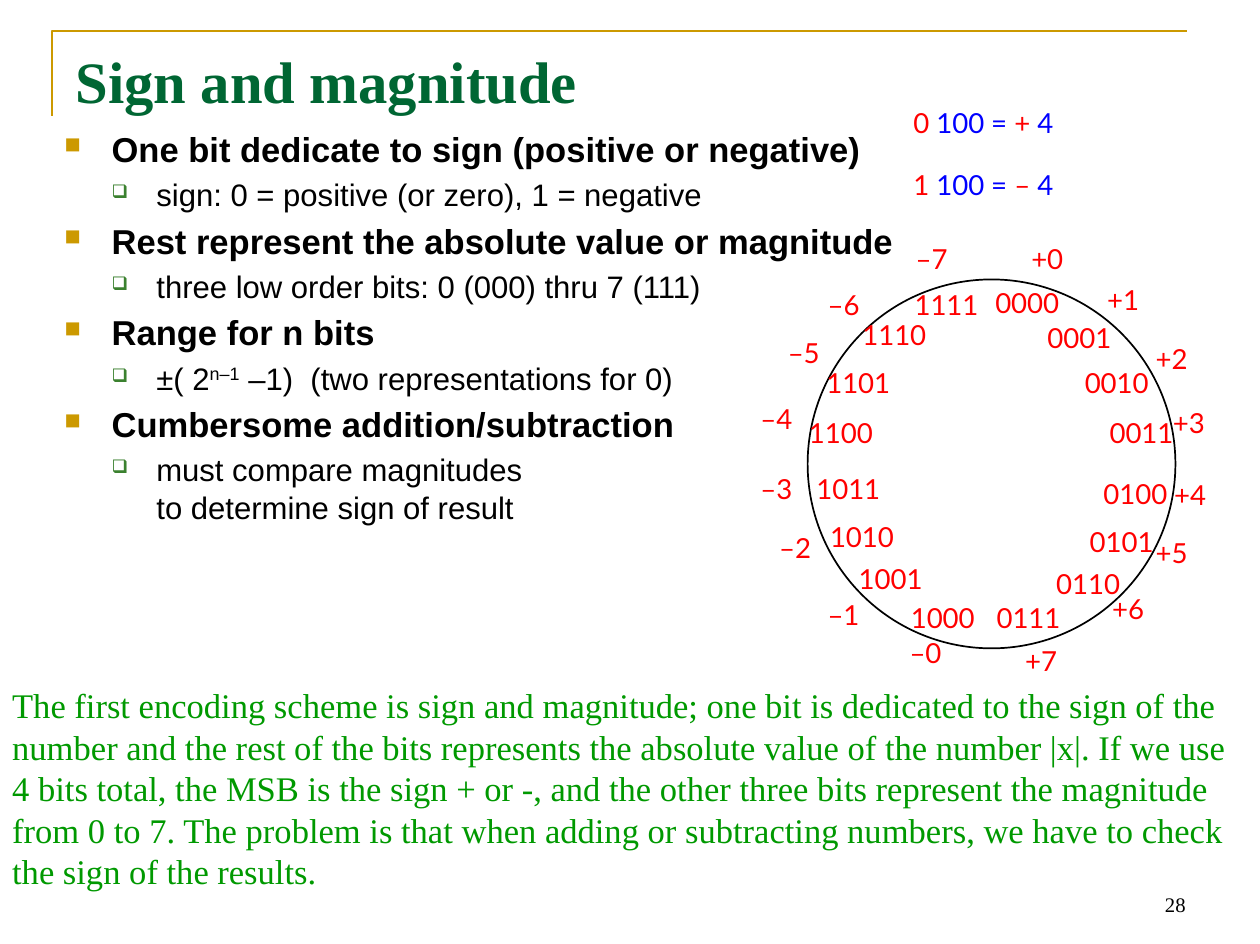
"""Builds the slide on sign and magnitude encoding of four-bit numbers."""
from lxml.etree import SubElement
from pptx import Presentation
from pptx.dml.color import RGBColor as RGB
from pptx.enum.shapes import MSO_SHAPE as SHAPE
from pptx.enum.text import MSO_ANCHOR as ANCHOR, PP_ALIGN as ALIGN
from pptx.oxml.ns import qn
from pptx.util import Pt

PX = 9144
COLORS = {"gold": "CC9900", "title": "006633", "leaf": "3B812F", "green": "009900",
          "red": "FF0000", "blue": "0000FF", "black": "000000", "white": "FFFFFF"}


def add_box(left, top, width, height, inset=(10, 5), wrap=True):
    box = slide.shapes.add_textbox(left * PX, top * PX, width * PX, height * PX)
    frame = box.text_frame
    frame.word_wrap = wrap
    frame.margin_left = frame.margin_right = inset[0] * PX
    frame.margin_top = frame.margin_bottom = inset[1] * PX
    return frame


def add_run(paragraph, text, size, face, color, bold=False):
    run = paragraph.add_run()
    run.text = text
    run.font.size = Pt(size)
    run.font.name = face
    run.font.bold = bold
    run.font.color.rgb = RGB.from_string(COLORS[color])
    return run


deck = Presentation()
deck.slide_width, deck.slide_height = 1014 * PX, 760 * PX
slide = deck.slides.add_slide(deck.slide_layouts[6])

corner = slide.shapes.build_freeform(42, 93, scale=PX)
corner.add_line_segments([(42, 25), (955, 25)], close=False)
corner_rule = corner.convert_to_shape()
corner_rule.shadow.inherit = False
corner_rule.fill.background()
corner_rule.line.color.rgb = RGB.from_string(COLORS["gold"])
corner_rule.line.width = Pt(1.5)

page_number = add_box(727, 692, 237, 51)
page_number.vertical_anchor = ANCHOR.BOTTOM
page_number.paragraphs[0].alignment = ALIGN.RIGHT
add_run(page_number.paragraphs[0], "28", 12, "Times New Roman", "black")

wheel = slide.shapes.add_shape(SHAPE.OVAL, 650 * PX, 225 * PX, 296 * PX, 297 * PX)
wheel.shadow.inherit = False
wheel.fill.solid()
wheel.fill.fore_color.rgb = RGB.from_string(COLORS["white"])
wheel.line.color.rgb = RGB.from_string(COLORS["black"])
wheel.line.width = Pt(1)

WHEEL_LABELS = [
    ("0000", 799, 235, 67, "+0", 828, 199, 36),
    ("0001", 841, 263, 60, "+1", 889, 232, 36),
    ("0010", 871, 299, 69, "+2", 928, 280, 36),
    ("0011", 891, 339, 74, "+3", 942, 331, 36),
    ("0100", 886, 388, 72, "+4", 943, 389, 36),
    ("0101", 875, 427, 74, "+5", 928, 436, 36),
    ("0110", 848, 461, 64, "+6", 893, 481, 36),
    ("0111", 800, 488, 58, "+7", 823, 523, 36),
    ("1000", 731, 488, 62, "–0", 730, 516, 40),
    ("1001", 689, 457, 65, "–1", 664, 486, 54),
    ("1010", 666, 423, 65, "–2", 625, 432, 47),
    ("1011", 655, 384, 67, "–3", 610, 384, 42),
    ("1100", 649, 339, 64, "–4", 610, 328, 49),
    ("1101", 663, 299, 58, "–5", 632, 275, 43),
    ("1110", 692, 260, 68, "–6", 664, 236, 49),
    ("1111", 734, 236, 61, "–7", 735, 199, 53),
]
for row in WHEEL_LABELS:
    for label, left, top, width in (row[:4], row[4:]):
        line = add_box(left, top, width, 33, (2, 3), wrap=False).paragraphs[0]
        line.line_spacing = Pt(13.9)
        add_run(line, label, 16, "Lato", "red")

examples = add_box(733, 84, 172, 89, (2, 3), wrap=False)
for index, (sign_bit, sign) in enumerate([("0", "+"), ("1", "–")]):
    line = examples.add_paragraph() if index else examples.paragraphs[0]
    line.line_spacing = Pt(18)
    if index:
        line.space_before = Pt(18)
    for text, color in [(sign_bit, "red"), (" 100 = ", "blue"), (sign, "red"), (" 4", "blue")]:
        add_run(line, text, 16, "Lato", color)

title = add_box(51, 31, 912, 126)
add_run(title.paragraphs[0], "Sign and magnitude", 34, "Times New Roman", "title", True)

LEVELS = [
    dict(margin=38, hang=38, size=20, before=4, bullet="■", color="gold", percent=65),
    dict(margin=74, hang=36, size=18, before=3.6, bullet="❑", color="leaf", percent=60),
]
POINTS = [
    (0, ["One bit dedicate to sign (positive or negative)"]),
    (1, ["sign: 0 = positive (or zero), 1 = negative"]),
    (0, ["Rest represent the absolute value or magnitude"]),
    (1, ["three low order bits: 0 (000) thru 7 (111)"]),
    (0, ["Range for n bits"]),
    (1, ["±( 2", "n–1", " –1)  (two representations for 0)"]),
    (0, ["Cumbersome addition/subtraction"]),
    (1, ["must compare magnitudes", "\v", "to determine sign of result"]),
]
body = add_box(42, 98, 912, 502)
for index, (depth, pieces) in enumerate(POINTS):
    level = LEVELS[depth]
    point = body.add_paragraph() if index else body.paragraphs[0]
    point.level = depth
    if index:
        point.space_before = Pt(level["before"])
    props = point._p.get_or_add_pPr()
    props.set("marL", str(level["margin"] * PX))
    props.set("indent", str(-level["hang"] * PX))
    bullet_color = SubElement(props, qn("a:buClr"))
    SubElement(bullet_color, qn("a:srgbClr"), val=COLORS[level["color"]])
    SubElement(props, qn("a:buSzPct"), val=str(level["percent"] * 1000))
    SubElement(props, qn("a:buChar"), char=level["bullet"])
    for piece in pieces:
        if piece == "\v":
            point.add_line_break()
            continue
        run = add_run(point, piece, level["size"], "Arial", "black", depth == 0)
        if piece == "n–1":
            run.font._element.set("baseline", "30000")

summary = slide.shapes.add_shape(SHAPE.RECTANGLE, 0, 546 * PX, 1014 * PX, 177 * PX)
summary.shadow.inherit = False
summary.fill.solid()
summary.fill.fore_color.rgb = RGB.from_string(COLORS["white"])
summary.line.fill.background()
summary.text_frame.word_wrap = True
summary.text_frame.vertical_anchor = ANCHOR.TOP
summary_text = summary.text_frame.paragraphs[0]
summary_text.alignment = ALIGN.LEFT
add_run(summary_text,
        "The first encoding scheme is sign and magnitude; one bit is dedicated to the sign of the "
        "number and the rest of the bits represents the absolute value of the number |x|. If we use "
        "4 bits total, the MSB is the sign + or -, and the other three bits represent the magnitude "
        "from 0 to 7. The problem is that when adding or subtracting numbers, we have to check "
        "the sign of the results.", 20, "Times New Roman", "green")

deck.save("out.pptx")
